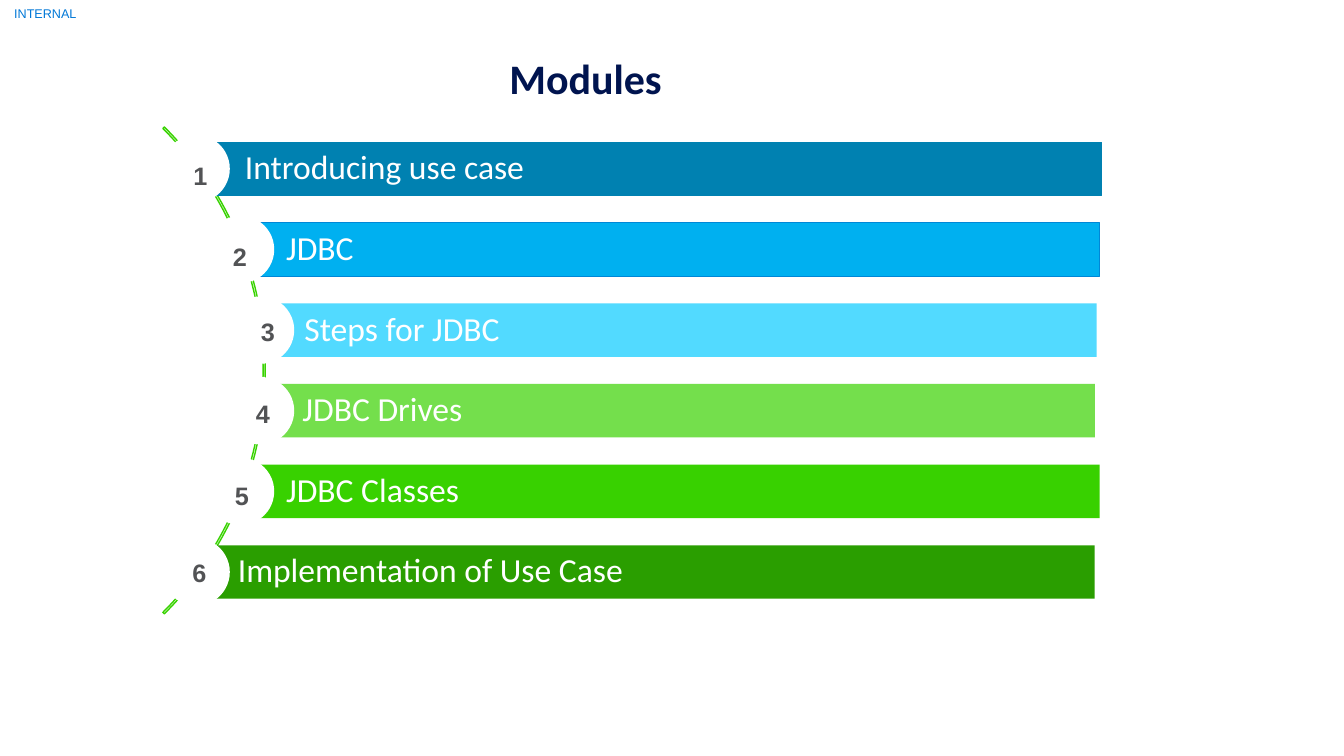
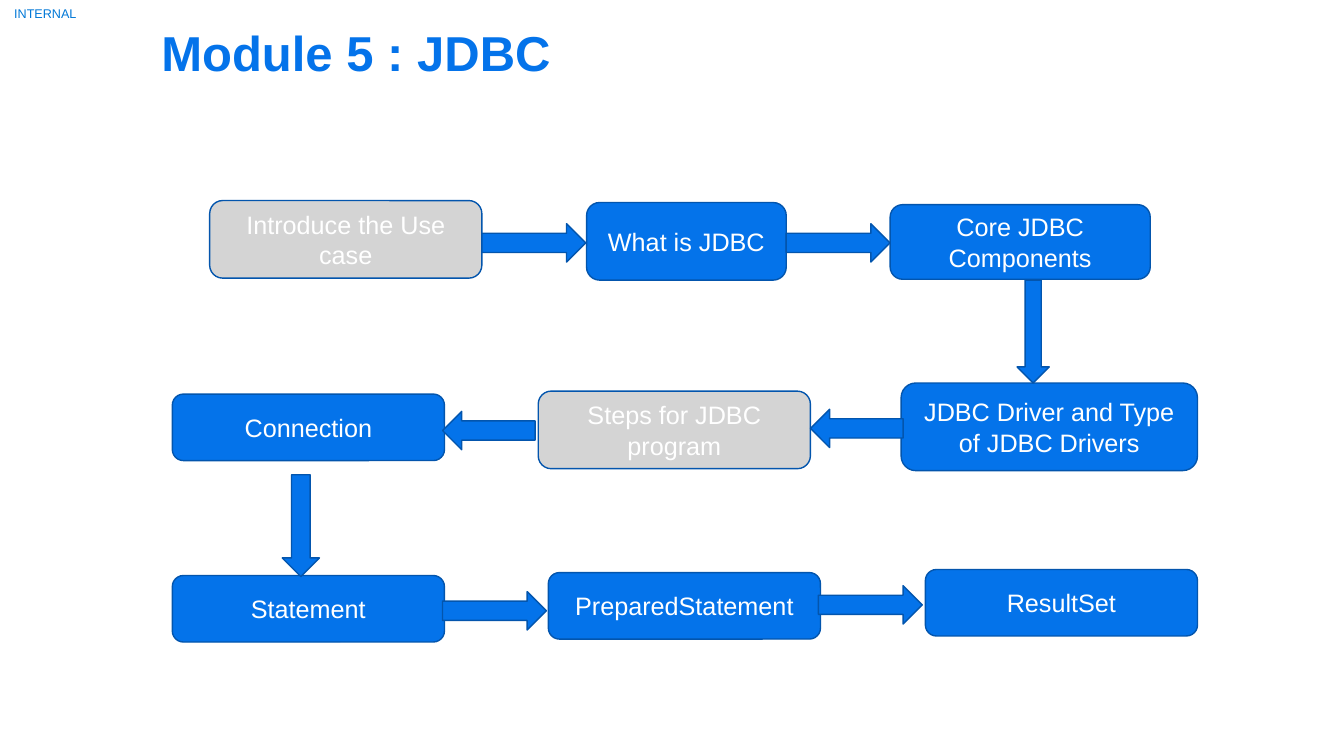
from pptx import Presentation
from pptx.dml.color import RGBColor
from pptx.enum import shapes, text
from pptx.util import Pt

WHITE = RGBColor(0xFF, 0xFF, 0xFF)
NAVY = RGBColor(0x00, 0x14, 0x4F)
BLUE = RGBColor(0x04, 0x73, 0xEA)
BLUE_EDGE = RGBColor(0x03, 0x55, 0xAD)
LABEL_BLUE = RGBColor(0x00, 0x78, 0xD7)
GREY = RGBColor(0xD4, 0xD4, 0xD4)
NUMBER_GREY = RGBColor(0x52, 0x53, 0x55)
ARC_GREEN = RGBColor(0x38, 0xD2, 0x00)
TEAL = RGBColor(0x00, 0x81, 0xB1)
SKY = RGBColor(0x00, 0xB0, 0xF0)
SKY_EDGE = RGBColor(0x00, 0x87, 0xD7)
PALE_SKY = RGBColor(0x52, 0xDA, 0xFF)
LIGHT_GREEN = RGBColor(0x74, 0xDF, 0x4C)
GREEN = RGBColor(0x38, 0xD1, 0x00)
DARK_GREEN = RGBColor(0x2A, 0x9E, 0x00)

ROW_PITCH, CIRCLE_SIZE, BAR_HEIGHT = 57.6, 48.2, 38.2

# label, fill, edge, circle left, bar left, bar width, number offset in circle
MODULES = [
    ("Introducing use case", TEAL, TEAL, 0, 28.7, 642.2, (15, 14.4)),
    ("JDBC", SKY, SKY_EDGE, 31.7, 58.2, 611.3, (11.5, 14.4)),
    ("Steps for JDBC", PALE_SKY, None, 46, 71.2, 596.2, (17.3, 10.8)),
    ("JDBC Drives", LIGHT_GREEN, None, 46, 69.8, 596.2, (13.7, 11.5)),
    ("JDBC Classes", GREEN, None, 31.7, 58.2, 611.3, (13, 12.9)),
    ("Implementation of Use Case", DARK_GREEN, None, 0, 23.7, 642.2, (14.4, 10.1)),
]

# label, fill, left, top, width, height
STEPS = [
    ("Introduce the Use case", GREY, 29.8, 3.3, 194.4, 55.4),
    ("What is JDBC", BLUE, 299, 4.7, 142.6, 55.4),
    ("Core JDBC Components", BLUE, 515.8, 6.2, 185.8, 53.3),
    ("JDBC Driver and Type of JDBC Drivers", BLUE, 523.7, 133.6, 211.7, 62.6),
    ("Steps for JDBC program", GREY, 264.5, 139.4, 194.4, 55.4),
    ("Connection", BLUE, 3.1, 141.5, 194.4, 47.5),
    ("Statement", BLUE, 3.1, 271.1, 194.4, 47.5),
    ("PreparedStatement", BLUE, 271.7, 269, 194.4, 47.5),
    ("ResultSet", BLUE, 541, 266.8, 194.4, 47.5),
]

RIGHT = shapes.MSO_SHAPE.RIGHT_ARROW
LEFT = shapes.MSO_SHAPE.LEFT_ARROW
DOWN = shapes.MSO_SHAPE.DOWN_ARROW

# kind, left, top, width, height
ARROWS = [
    (RIGHT, 224.2, 19.8, 74.2, 27.4),
    (RIGHT, 441.6, 19.8, 74.2, 27.4),
    (DOWN, 606.5, 60.2, 23, 73.4),
    (LEFT, 458.9, 152.3, 66.2, 27.4),
    (LEFT, 196.1, 153.8, 66.2, 27.4),
    (DOWN, 81.6, 199.1, 26.6, 72.7),
    (RIGHT, 196.1, 282.6, 74.2, 27.4),
    (RIGHT, 464.6, 278.3, 74.2, 27.4),
]


def set_text(shape, words, size, color, font="Arial", bold=False,
             align=text.PP_ALIGN.LEFT, anchor=text.MSO_ANCHOR.MIDDLE,
             insets=(7.2, 3.6, 7.2, 3.6), line_spacing=None):
    frame = shape.text_frame
    frame.text = words
    frame.word_wrap = True
    frame.auto_size = text.MSO_AUTO_SIZE.NONE
    frame.vertical_anchor = anchor
    (frame.margin_left, frame.margin_top,
     frame.margin_right, frame.margin_bottom) = [Pt(inset) for inset in insets]
    paragraph = frame.paragraphs[0]
    paragraph.alignment = align
    paragraph.line_spacing = line_spacing
    run_font = paragraph.runs[0].font
    run_font.name, run_font.size, run_font.bold = font, Pt(size), bold
    run_font.color.rgb = color


def add_shape(slide, kind, box, fill=None, edge=None, edge_width=1):
    shape = slide.shapes.add_shape(kind, *[Pt(length) for length in box])
    shape.shadow.inherit = False
    if fill is None:
        shape.fill.background()
    else:
        shape.fill.solid()
        shape.fill.fore_color.rgb = fill
    if edge is None:
        shape.line.fill.background()
    else:
        shape.line.color.rgb = edge
        shape.line.width = Pt(edge_width)
    return shape


def add_textbox(slide, box, *args, **style):
    textbox = slide.shapes.add_textbox(*[Pt(length) for length in box])
    set_text(textbox, *args, **style)


def add_titled_slide(presentation, words, box, size, color, **style):
    """Add a slide with its title and the classification label."""
    slide = presentation.slides.add_slide(presentation.slide_layouts[5])
    title = slide.shapes.title
    title.left, title.top, title.width, title.height = [Pt(v) for v in box]
    set_text(title, words, size, color, bold=True, insets=(0, 0, 0, 0),
             anchor=text.MSO_ANCHOR.TOP, **style)
    add_textbox(slide, (0, 0, 64.8, 18.7), "INTERNAL", 9, LABEL_BLUE,
                align=text.PP_ALIGN.CENTER, insets=(0, 0, 0, 0))
    return slide


def add_module_list(slide, left, top):
    """Place numbered bars along an arc, from the first circle's corner."""
    arc = add_shape(slide, shapes.MSO_SHAPE.BLOCK_ARC,
                    (left - 418.4, top - 77.8, 491.8, 491.8), edge=ARC_GREEN)
    for index, value in enumerate((189, 27, 0.003)):
        arc.adjustments[index] = value

    for index, module in enumerate(MODULES):
        label, fill, edge, circle_left, bar_left, bar_width, offset = module
        row_top = top + index * ROW_PITCH
        circle_x = left + circle_left
        bar = add_shape(slide, shapes.MSO_SHAPE.RECTANGLE,
                        (left + bar_left, row_top + 5, bar_width, BAR_HEIGHT),
                        fill, edge, 0.75)
        set_text(bar, label, 24, WHITE, font="Calibri",
                 insets=(30.2, 5, 5, 5), line_spacing=0.9)
        add_shape(slide, shapes.MSO_SHAPE.OVAL,
                  (circle_x, row_top, CIRCLE_SIZE, CIRCLE_SIZE), WHITE)
        add_textbox(slide, (circle_x + offset[0], row_top + offset[1], 29.5, 28.8),
                    str(index + 1), 18, NUMBER_GREY, bold=True,
                    anchor=text.MSO_ANCHOR.TOP)


def add_flow(slide, left, top):
    """Place the step boxes and the arrows between them."""
    for label, fill, x, y, width, height in STEPS:
        step = add_shape(slide, shapes.MSO_SHAPE.ROUNDED_RECTANGLE,
                         (left + x, top + y, width, height), fill, BLUE_EDGE)
        set_text(step, label, 18, WHITE, align=text.PP_ALIGN.CENTER)
    for kind, x, y, width, height in ARROWS:
        add_shape(slide, kind, (left + x, top + y, width, height), BLUE, BLUE_EDGE)


def main():
    presentation = Presentation()
    presentation.slide_width, presentation.slide_height = Pt(960), Pt(540)

    modules = add_titled_slide(presentation, "Modules", (4.3, 41.8, 828, 69.1),
                               30, NAVY, font="Calibri", line_spacing=0.9,
                               align=text.PP_ALIGN.CENTER)
    add_module_list(modules, 116, 96.5)

    flow = add_titled_slide(presentation, "Module 5 : JDBC",
                            (115.2, 15.8, 729.4, 55.4), 35, BLUE)
    add_flow(flow, 120, 140)

    presentation.save("out.pptx")


if __name__ == "__main__":
    main()
